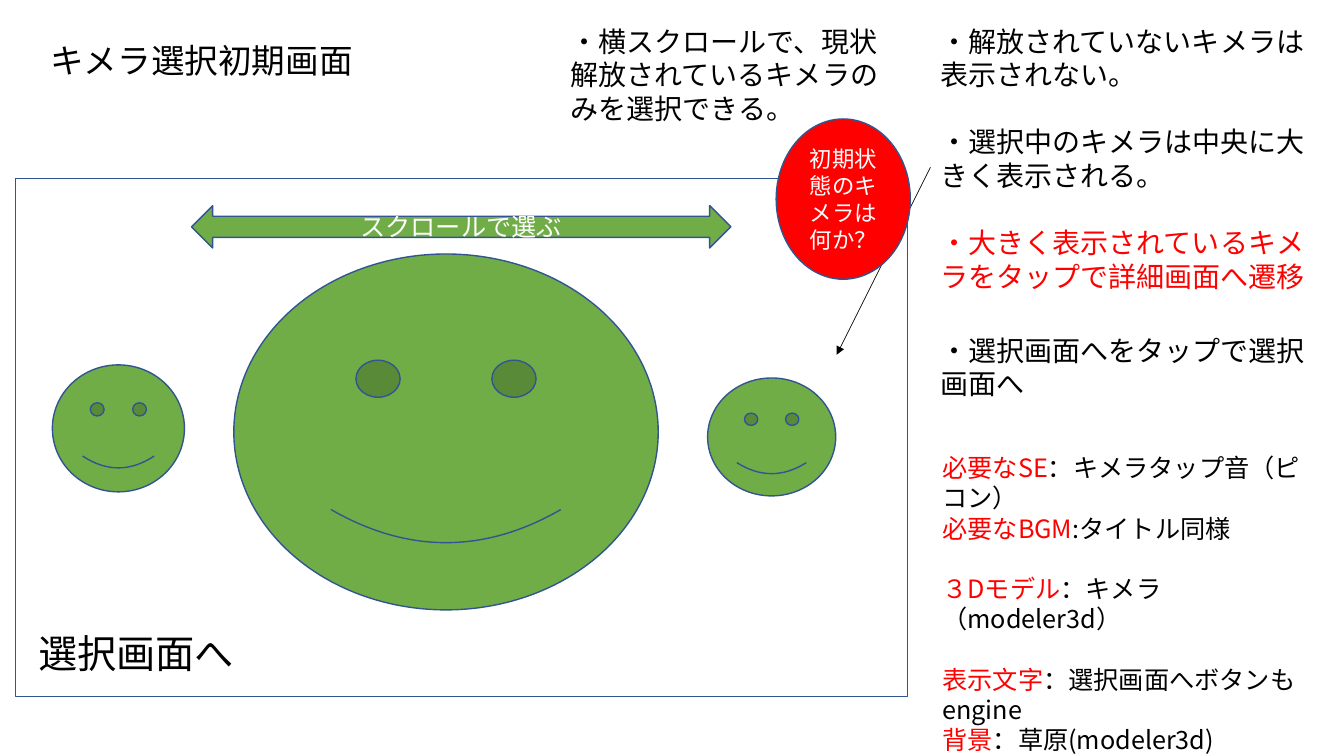
"""Build the chimera selection screen slide, with lengths as percent shares of the slide."""
from dataclasses import dataclass
from typing import Optional

from lxml.etree import SubElement
from pptx import Presentation
from pptx.dml.color import RGBColor as Rgb
from pptx.enum.shapes import MSO_CONNECTOR as Link, MSO_SHAPE as Kind
from pptx.enum.text import MSO_ANCHOR as Anchor, MSO_AUTO_SIZE as Fit, PP_ALIGN as Align
from pptx.oxml.ns import qn
from pptx.util import Inches, Pt

INK = {"black": "000000", "white": "FFFFFF", "red": "FF0000",
       "green": "70AD47", "navy": "325491"}
FONT = "Noto Sans CJK JP"
WIDE, HIGH = Inches(13.33), Inches(7.5)
LEAD = 1.2


@dataclass
class Para:
    runs: list[tuple[str, str]]
    gap: float = 0


@dataclass
class Item:
    box: tuple[float, float, float, float]
    size: int = 18
    paras: tuple[Para, ...] = ()
    kind: Optional[Kind] = None
    fill: str = "green"


def plain(text: str, ink: str = "black", gap: float = 0) -> Para:
    return Para([(text, ink)], gap)


def label(head: str, body: str, gap: float = 0) -> Para:
    return Para([(head, "red"), (body, "black")], gap)


BACK = [
    Item((1.13, 23.6, 66.38, 68.53), kind=Kind.FLOWCHART_PROCESS, fill="white"),
    Item((17.4, 33.6, 31.58, 47.07), kind=Kind.SMILEY_FACE),
    Item((3.9, 48.27, 9.83, 16.8), kind=Kind.SMILEY_FACE),
    Item((52.65, 50, 9.53, 15.6), kind=Kind.SMILEY_FACE),
    Item((3, 4.67, 29.18, 6.67), 24, (plain("キメラ選択初期画面"),)),
    Item((69.23, 2.53, 29.18, 51.6), 20, (
        plain("・解放されていないキメラは表示されない。"),
        plain("・選択中のキメラは中央に大きく表示される。", gap=20),
        plain("・大きく表示されているキメラをタップで詳細画面へ遷移", "red", 20),
        plain("・選択画面へをタップで選択画面へ", gap=24))),
    Item((2.1, 82.53, 20.63, 7.6), 28, (plain("選択画面へ"),)),
    Item((14.25, 27.2, 40.13, 5.6), 18, (plain("スクロールで選ぶ", "white"),),
         Kind.LEFT_RIGHT_ARROW),
    Item((69.38, 59.2, 30.53, 37.73), 18, (
        label("必要なSE", "：キメラタップ音（ピ\tコン）"),
        label("必要なBGM", ":タイトル同様"),
        label("３Dモデル", "：キメラ（modeler3d）", 18),
        label("表示文字", "：選択画面へボタンも\tengine"),
        label("背景", "：草原(modeler3d)"))),
]
BACK[-1].paras[3].gap = 18
FRONT = [
    Item((41.7, 2.53, 25.28, 14.8), 20,
         (plain("・横スクロールで、現状解放されているキメラのみを選択できる。"),)),
    Item((57.75, 15.73, 9.98, 21.2), 16,
         (plain("初期状態のキメラは何か？", "white"),), Kind.OVAL, "red"),
]


def tint(name: str) -> Rgb:
    return Rgb.from_string(INK[name])


def across(share: float) -> int:
    return round(WIDE * share / 100)


def down(share: float) -> int:
    return round(HIGH * share / 100)


def write(frame, item: Item) -> None:
    frame.word_wrap = True
    for i, para in enumerate(item.paras):
        line = frame.add_paragraph() if i else frame.paragraphs[0]
        line.alignment = Align.CENTER if item.kind else Align.LEFT
        line.line_spacing = Pt(item.size * LEAD)
        if para.gap:
            line.space_before = Pt(para.gap * LEAD)
        for text, ink in para.runs:
            run = line.add_run()
            run.text = text
            run.font.size = Pt(item.size)
            run.font.color.rgb = tint(ink)
            run.font.name = FONT
            SubElement(run.font._element, qn("a:ea")).set("typeface", FONT)


def draw(shapes, item: Item) -> None:
    x, y, w, h = item.box
    place = across(x), down(y), across(w), down(h)
    if item.kind is None:
        shape = shapes.add_textbox(*place)
        shape.text_frame.auto_size = Fit.SHAPE_TO_FIT_TEXT
    else:
        shape = shapes.add_shape(item.kind, *place)
        shape.shadow.inherit = False
        shape.fill.solid()
        shape.fill.fore_color.rgb = tint(item.fill)
        shape.line.color.rgb = tint("navy")
        shape.line.width = Pt(1)
        shape.text_frame.vertical_anchor = Anchor.MIDDLE
    if item.paras:
        write(shape.text_frame, item)


def point(shapes, x: float, y: float, to_x: float, to_y: float) -> None:
    line = shapes.add_connector(Link.STRAIGHT, across(x), down(y), across(to_x), down(to_y))
    line.line.color.rgb = tint("black")
    line.line.width = Pt(0.5)
    SubElement(line.line._get_or_add_ln(), qn("a:tailEnd")).set("type", "triangle")
    SubElement(line._element.spPr, qn("a:effectLst"))


def main() -> None:
    deck = Presentation()
    deck.slide_width, deck.slide_height = WIDE, HIGH
    shapes = deck.slides.add_slide(deck.slide_layouts[6]).shapes
    for item in BACK:
        draw(shapes, item)
    point(shapes, 69.23, 22.13, 62.25, 46.93)
    for item in FRONT:
        draw(shapes, item)
    deck.save("out.pptx")


if __name__ == "__main__":
    main()
